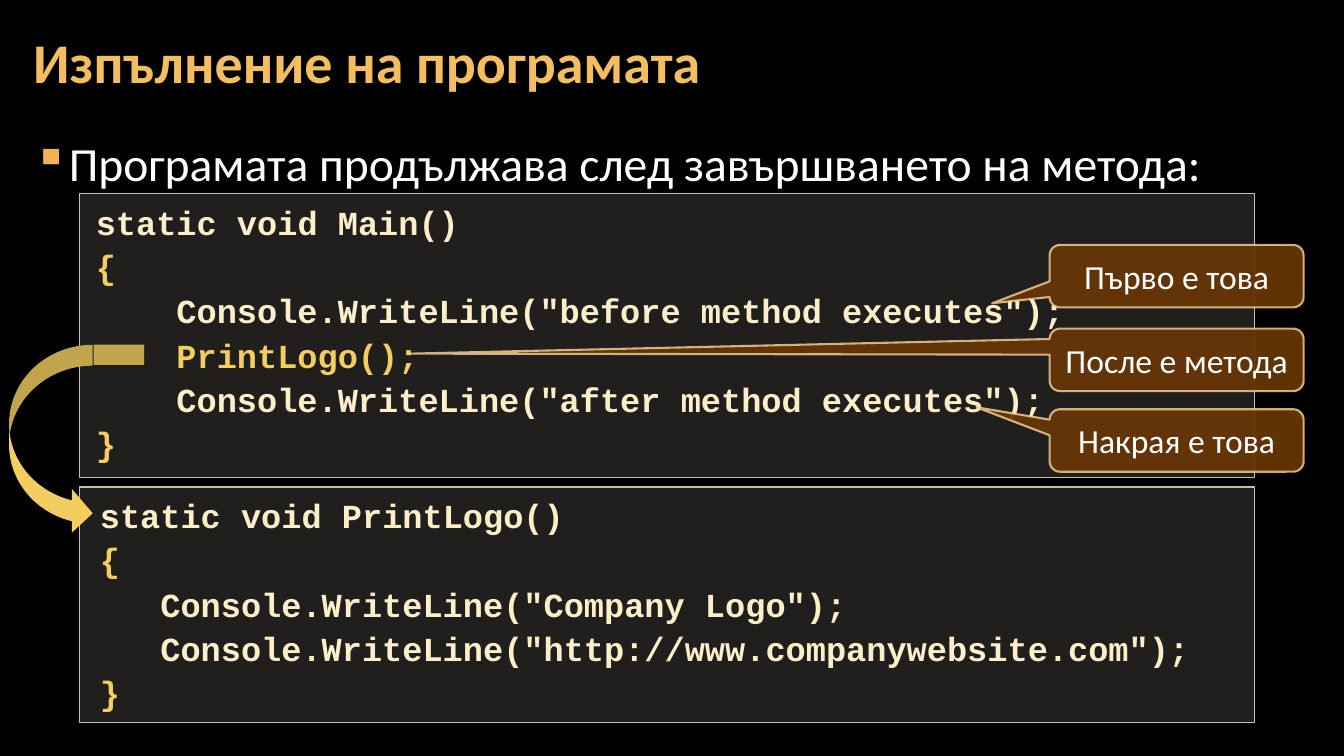
from lxml.etree import SubElement
from pptx import Presentation
from pptx.dml.color import RGBColor
from pptx.enum.shapes import MSO_SHAPE
from pptx.enum.text import MSO_ANCHOR, PP_ALIGN
from pptx.oxml.ns import qn
from pptx.util import Inches, Pt

BLACK = RGBColor(0x00, 0x00, 0x00)
WHITE = RGBColor(0xFF, 0xFF, 0xFF)
TITLE_GOLD = RGBColor(0xF3, 0xBE, 0x60)
BULLET_GOLD = RGBColor(0xF2, 0xB2, 0x54)
CREAM = RGBColor(0xFB, 0xEE, 0xC9)
YELLOW = RGBColor(0xF3, 0xCD, 0x60)
DARK_YELLOW = RGBColor(0xC3, 0xA5, 0x4D)
PANEL = RGBColor(0xD9, 0xD5, 0xC7)
PANEL_EDGE = RGBColor(0xC7, 0xBF, 0xAC)
BROWN = RGBColor(0x66, 0x36, 0x06)
BROWN_EDGE = RGBColor(0xF8, 0xD4, 0x9E)

# Content
TITLE = "Изпълнение на програмата"
BULLET = "Програмата продължава след завършването на метода:"

# Code lines: (indent in characters, text, colour)
PRINT_LOGO_CODE = [
    (0, "static void PrintLogo()", CREAM),
    (0, "{", YELLOW),
    (3, 'Console.WriteLine("Company Logo");', CREAM),
    (3, 'Console.WriteLine("http://www.companywebsite.com");', CREAM),
    (0, "}", YELLOW),
]
MAIN_CODE = [
    (0, "static void Main()", CREAM),
    (0, "{", YELLOW),
    (4, 'Console.WriteLine("before method executes");', CREAM),
    (4, "PrintLogo();", YELLOW),
    (4, 'Console.WriteLine("after method executes");', CREAM),
    (0, "}", YELLOW),
]
# Code panels: (top, height, side inset, bottom inset, lines)
CODE_PANELS = [
    (4.83, 2.34, 0.2, 0.08, PRINT_LOGO_CODE),
    (1.92, 2.82, 0.16, 0.04, MAIN_CODE),
]
# Callouts: (top, text, tip x, tip y)
CALLOUTS = [
    (2.43, "Първо е това", -0.726, 0.433),
    (3.26, "После е метода", -3.014, -0.099),
    (4.06, "Накрая е това", -0.788, -0.532),
]
CODE_CHAR_WIDTH = 0.2  # Courier New at 24 pt


def set_alpha(color_format_owner, percent):
    """Make the solid colour inside a fill or line element translucent."""
    color = color_format_owner.find(qn("a:solidFill"))[0]
    SubElement(color, qn("a:alpha"), val=str(percent * 1000))


def add_filled(shapes, kind, box, fill, fill_alpha=100, edge=None, edge_width=1, edge_alpha=100):
    shape = shapes.add_shape(kind, *map(Inches, box))
    shape.shadow.inherit = False
    shape.fill.solid()
    shape.fill.fore_color.rgb = fill
    properties = shape.fill._xPr
    if fill_alpha < 100:
        set_alpha(properties, fill_alpha)
    if edge is None:
        shape.line.fill.background()
    else:
        shape.line.color.rgb = edge
        shape.line.width = Pt(edge_width)
        if edge_alpha < 100:
            set_alpha(properties.find(qn("a:ln")), edge_alpha)
    return shape


def set_frame(frame, side, bottom, anchor):
    frame.word_wrap = True
    frame.margin_left = frame.margin_right = Inches(side)
    frame.margin_top, frame.margin_bottom = Inches(0.04), Inches(bottom)
    frame.vertical_anchor = anchor


def write(paragraph, text, font_name, size, color, bold=False):
    paragraph.text = text
    font = paragraph.font
    font.name, font.size, font.bold = font_name, Pt(size), bold
    font.color.rgb = color


def add_heading(shapes, box, text, size, color, bold, anchor, spacing):
    frame = shapes.add_textbox(*map(Inches, box)).text_frame
    set_frame(frame, 0.12, 0.04, anchor)
    paragraph = frame.paragraphs[0]
    paragraph.line_spacing = spacing
    write(paragraph, text, "Calibri", size, color, bold)
    return paragraph


def add_code_panel(shapes, top, height, side, bottom, lines):
    panel = add_filled(shapes, MSO_SHAPE.RECTANGLE, (0.79, top, 11.65, height), PANEL, 15, PANEL_EDGE)
    frame = panel.text_frame
    set_frame(frame, side, bottom, MSO_ANCHOR.TOP)
    for number, (indent, text, color) in enumerate(lines):
        paragraph = frame.add_paragraph() if number else frame.paragraphs[0]
        paragraph.alignment = PP_ALIGN.LEFT
        paragraph.line_spacing = 1.1
        write(paragraph, text, "Courier New", 24, color, True)
        paragraph._p.get_or_add_pPr().set("marL", str(Inches(indent * CODE_CHAR_WIDTH)))


def add_callout(shapes, top, text, tip_x, tip_y):
    callout = add_filled(shapes, MSO_SHAPE.ROUNDED_RECTANGULAR_CALLOUT, (10.41, top, 2.52, 0.62),
                         BROWN, 95, BROWN_EDGE, 1.5, 80)
    for index, value in enumerate((tip_x, tip_y, 0.167)):
        callout.adjustments[index] = value
    set_frame(callout.text_frame, 0.1, 0.04, MSO_ANCHOR.MIDDLE)
    paragraph = callout.text_frame.paragraphs[0]
    paragraph.alignment = PP_ALIGN.CENTER
    write(paragraph, text, "Calibri", 24, WHITE)


def main():
    prs = Presentation()
    prs.slide_width, prs.slide_height = Inches(13.33), Inches(7.5)
    slide = prs.slides.add_slide(prs.slide_layouts[6])
    slide.background.fill.solid()
    slide.background.fill.fore_color.rgb = BLACK
    shapes = slide.shapes

    # Code panels
    for panel in CODE_PANELS:
        add_code_panel(shapes, *panel)

    # Bullet and title
    bullet = add_heading(shapes, (0.21, 1.26, 12.91, 6.09), BULLET, 34, WHITE, False, MSO_ANCHOR.TOP, 1.05)
    bullet.space_before = bullet.space_after = Pt(6)
    bullet_properties = bullet._p.get_or_add_pPr()
    bullet_properties.set("marL", str(Inches(0.33)))
    bullet_properties.set("indent", str(-Inches(0.33)))
    marker = bullet_properties.find(qn("a:defRPr"))
    bullet_color = SubElement(bullet_properties, qn("a:buClr"))
    SubElement(bullet_color, qn("a:srgbClr"), val=str(BULLET_GOLD))
    bullet_char = SubElement(bullet_properties, qn("a:buChar"), char="▪")
    for part in (bullet_color, bullet_char):
        marker.addprevious(part)
    add_heading(shapes, (0.21, 0.04, 10.47, 1.21), TITLE, 40, TITLE_GOLD, True, MSO_ANCHOR.MIDDLE, 0.9)

    # Callouts giving the order of execution
    for callout in CALLOUTS:
        add_callout(shapes, *callout)

    # Arrow from the call to the method
    jump = shapes.add_group_shape().shapes
    arrow = add_filled(jump, MSO_SHAPE.CURVED_RIGHT_ARROW, (0.09, 3.42, 0.83, 1.89), YELLOW)
    for index, value in enumerate((0.25, 0.525, 0.25)):
        arrow.adjustments[index] = value
    add_filled(jump, MSO_SHAPE.RECTANGLE, (0.93, 3.42, 0.5, 0.2), DARK_YELLOW)

    prs.save("out.pptx")


if __name__ == "__main__":
    main()
